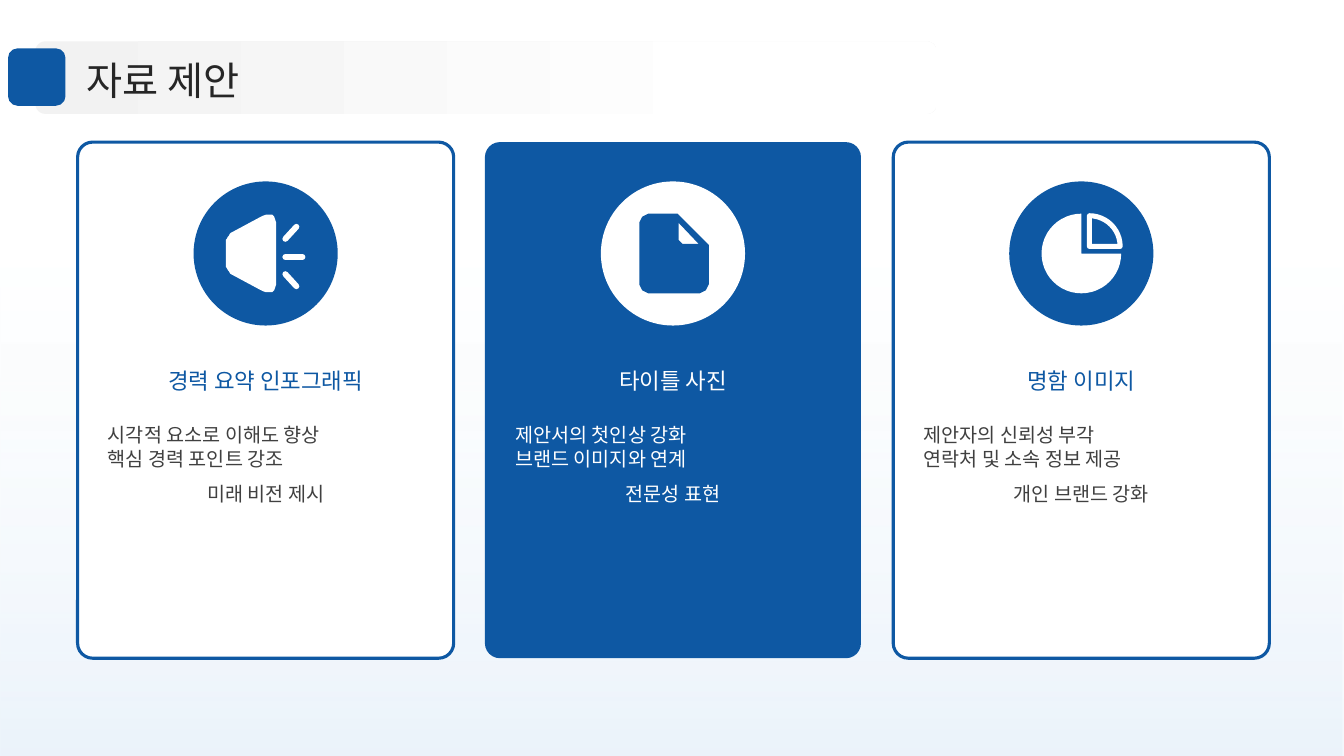
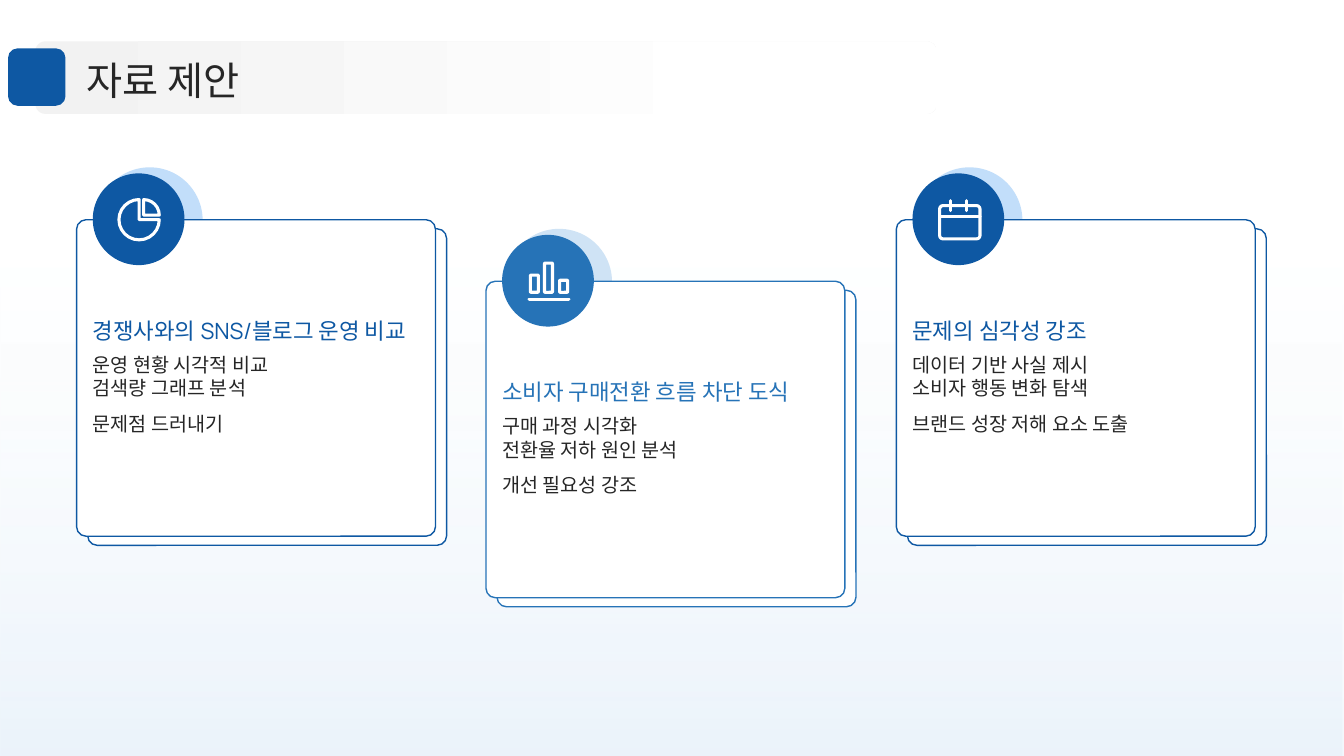
"""Build two Korean proposal slides with three topic cards each."""
from math import hypot

from lxml.etree import SubElement
from pptx import Presentation
from pptx.dml.color import RGBColor
from pptx.enum.shapes import MSO_CONNECTOR as Connector, MSO_SHAPE as Shape
from pptx.enum.text import MSO_ANCHOR as Anchor, MSO_AUTO_SIZE as AutoSize, PP_ALIGN as Align
from pptx.oxml.ns import qn
from pptx.util import Pt

PX = 9144
WIDTH, HEIGHT = 1333, 750
FONT = "Manrope"
BLUE, MID_BLUE, WHITE = "0E58A3", "2673B7", "FFFFFF"
PALE_BLUE, HALO_BLUE, BAND_GRAY = "CFE3F5", "C2DEFA", "F2F2F2"
DARK, GRAY = "262626", "404040"
TITLE = "자료 제안"
rgb = RGBColor.from_string


def add_shape(slide, kind, box, fill=None, line=None, weight=1, adjustments=()):
    shape = slide.shapes.add_shape(kind, *[value * PX for value in box])
    shape.shadow.inherit = False
    for index, value in enumerate(adjustments):
        shape.adjustments[index] = value
    if isinstance(fill, tuple):
        start, end, end_position, angle = fill
        shape.fill.gradient()
        shape.fill.gradient_angle = angle
        for stop, color, position in zip(shape.fill.gradient_stops, (start, end), (0, end_position)):
            stop.color.rgb = rgb(color)
            stop.position = position
    elif fill:
        shape.fill.solid()
        shape.fill.fore_color.rgb = rgb(fill)
    else:
        shape.fill.background()
    if line:
        shape.line.color.rgb = rgb(line)
        shape.line.width = Pt(weight)
    else:
        shape.line.fill.background()
    return shape


def write_text(shape, box, lines, size, color, inset=(0, 0), anchor=Anchor.TOP):
    for name, value in zip(("left", "top", "width", "height"), box):
        setattr(shape, name, value * PX)
    frame = shape.text_frame
    side, edge = inset[0] * PX, inset[1] * PX
    frame_format = {"word_wrap": True, "auto_size": AutoSize.NONE, "vertical_anchor": anchor,
                    "margin_left": side, "margin_right": side, "margin_top": edge, "margin_bottom": edge}
    for name, value in frame_format.items():
        setattr(frame, name, value)
    for index, (text, alignment, spacing) in enumerate(lines):
        paragraph = frame.add_paragraph() if index else frame.paragraphs[0]
        paragraph.alignment, paragraph.line_spacing = alignment, spacing
        run = paragraph.add_run()
        run.text = text
        for name, value in {"name": FONT, "size": Pt(size), "bold": False}.items():
            setattr(run.font, name, value)
        run.font.color.rgb = rgb(color)


presentation = Presentation()
presentation.slide_width, presentation.slide_height = WIDTH * PX, HEIGHT * PX
slides = [presentation.slides.add_slide(presentation.slide_layouts[5]) for _ in range(2)]
panel_slide, stack_slide = slides

for slide in slides:
    backdrop = add_shape(slide, Shape.RECTANGLE, (0, 0, WIDTH, HEIGHT), (PALE_BLUE, WHITE, 0.68, 90))
    for color, alpha in zip(backdrop.fill.gradient_stops, (41, 20)):
        pass
    for color, alpha in zip(backdrop._element.spPr.iter(qn("a:srgbClr")), (41, 20)):
        SubElement(color, qn("a:alpha"), val=str(alpha * 1000))
    add_shape(slide, Shape.ROUNDED_RECTANGLE, (35, 41, 894, 72), (BAND_GRAY, WHITE, 0.8, 0),
              adjustments=[0.14])
    title = slide.shapes.title
    write_text(title, (86, 51, 1167, 51), [(TITLE, Align.LEFT, 1.1)], 28, DARK, anchor=Anchor.MIDDLE)
    slide.shapes._spTree.append(title._element)
    add_shape(slide, Shape.ROUNDED_RECTANGLE, (8, 48, 57, 57), BLUE)

panels = [
    (77, WHITE, BLUE, GRAY, "경력 요약 인포그래픽",
     ("시각적 요소로 이해도 향상", "핵심 경력 포인트 강조", "미래 비전 제시")),
    (481, BLUE, WHITE, WHITE, "타이틀 사진",
     ("제안서의 첫인상 강화", "브랜드 이미지와 연계", "전문성 표현")),
    (886, WHITE, BLUE, GRAY, "명함 이미지",
     ("제안자의 신뢰성 부각", "연락처 및 소속 정보 제공", "개인 브랜드 강화")),
]
for left, fill, accent, body_color, heading, points in panels:
    add_shape(panel_slide, Shape.ROUNDED_RECTANGLE, (left, 141, 373, 512), fill,
              BLUE if fill == WHITE else None, 2.25, [0.04])
    add_shape(panel_slide, Shape.OVAL, (left + 115, 180, 143, 143), accent)
    body_lines = list(zip(points, (Align.LEFT, Align.LEFT, Align.CENTER), (1, 1, 1.5)))
    for top, height, lines, size, color in ((357, 34, [(heading, Align.CENTER, 1.1)], 16, accent),
                                            (415, 234, body_lines, 14, body_color)):
        text_box = panel_slide.shapes.add_textbox(0, 0, PX, PX)
        write_text(text_box, (left + 21, top, 331, height), lines, size, color, (9, 5))

stacks = [
    (76, 218, BLUE, HALO_BLUE, "경쟁사와의 SNS/블로그 운영 비교",
     ("운영 현황 시각적 비교", "검색량 그래프 분석", "문제점 드러내기")),
    (482, 279, MID_BLUE, PALE_BLUE, "소비자 구매전환 흐름 차단 도식",
     ("구매 과정 시각화", "전환율 저하 원인 분석", "개선 필요성 강조")),
    (889, 218, BLUE, HALO_BLUE, "문제의 심각성 강조",
     ("데이터 기반 사실 제시", "소비자 행동 변화 탐색", "브랜드 성장 저해 요소 도출")),
]
for left, top, accent, halo, heading, points in stacks:
    for kind, x, y, width, height, fill, line in (
            (Shape.ROUNDED_RECTANGLE, 11, 9, 356, 314, WHITE, accent),
            (Shape.OVAL, 20, -52, 105, 105, halo, None),
            (Shape.ROUNDED_RECTANGLE, 0, 0, 356, 314, WHITE, accent),
            (Shape.OVAL, 16, -46, 91, 91, accent, None)):
        add_shape(stack_slide, kind, (left + x, top + y, width, height), fill, line,
                  adjustments=[0.03] if line else [])
    body_lines = list(zip(points, [Align.LEFT] * 3, (1, 1, 1.5)))
    for y, height, lines, size, color, anchor in (
            (49, 74, [(heading, Align.LEFT, 1.3)], 16, accent, Anchor.BOTTOM),
            (132, 160, body_lines, 14, DARK, Anchor.TOP)):
        text_box = stack_slide.shapes.add_textbox(0, 0, PX, PX)
        write_text(text_box, (left + 16, top + y, 322, height), lines, size, color, anchor=anchor)

speaker = [[(224, 234, 8), (274, 206, 20), (274, 297, 20), (224, 269, 8)]]
document = [[(634, 212, 12), (672, 212, 0), (703, 243, 0), (703, 291, 12), (634, 291, 12)],
            [(673, 221, 0), (673, 242, 7), (693, 242, 0)]]
for contours, fill in ((speaker, WHITE), (document, BLUE)):
    builder = None
    for corners in contours:
        outline = []
        for index, (x, y, radius) in enumerate(corners):
            ends = []
            for neighbor in (corners[index - 1], corners[(index + 1) % len(corners)]):
                ratio = radius / hypot(neighbor[0] - x, neighbor[1] - y)
                ends.append((x + (neighbor[0] - x) * ratio, y + (neighbor[1] - y) * ratio))
            for step in range(9 if radius else 1):
                t = step / 8
                outline.append(tuple((1 - t) ** 2 * start + 2 * t * (1 - t) * corner + t ** 2 * end
                                     for start, corner, end in zip(ends[0], (x, y), ends[1])))
        if builder:
            builder.move_to(*outline[0])
        else:
            builder = panel_slide.shapes.build_freeform(*outline[0], scale=PX)
        builder.add_line_segments(outline[1:], close=True)
    icon = builder.convert_to_shape()
    icon.shadow.inherit = False
    icon.fill.solid()
    icon.fill.fore_color.rgb = rgb(fill)
    icon.line.fill.background()

most, quarter = (0, 162), (162, 0)
for slide, box, fill, line, weight, angles in (
        (panel_slide, (1033, 212, 79, 79), WHITE, None, 0, most),
        (panel_slide, (1050, 214, 61, 61), None, WHITE, 3.6, quarter),
        (stack_slide, (118, 198, 40, 40), None, WHITE, 2.2, most),
        (stack_slide, (127, 198, 31, 31), None, WHITE, 2.2, quarter)):
    add_shape(slide, Shape.PIE, box, fill, line, weight, angles)

for box in ((526, 273, 8, 17), (540, 261, 8, 29), (555, 278, 8, 12), (932, 204, 40, 33)):
    add_shape(stack_slide, Shape.ROUNDED_RECTANGLE, box, None, WHITE, 2.2, [0.1])

for slide, weight, strokes in (
        (panel_slide, 4.2, ((283, 237, 294, 225), (283, 255, 300, 255), (283, 272, 294, 284))),
        (stack_slide, 2.6, ((525, 297, 564, 297),)),
        (stack_slide, 2.2, ((932, 215, 972, 215), (943, 199, 943, 209), (959, 199, 959, 209)))):
    for stroke in strokes:
        connector = slide.shapes.add_connector(Connector.STRAIGHT, *[value * PX for value in stroke])
        connector.line.color.rgb = rgb(WHITE)
        connector.line.width = Pt(weight)
        connector.line._ln.set("cap", "rnd")
        SubElement(connector._element.spPr, qn("a:effectLst"))

presentation.save("out.pptx")
